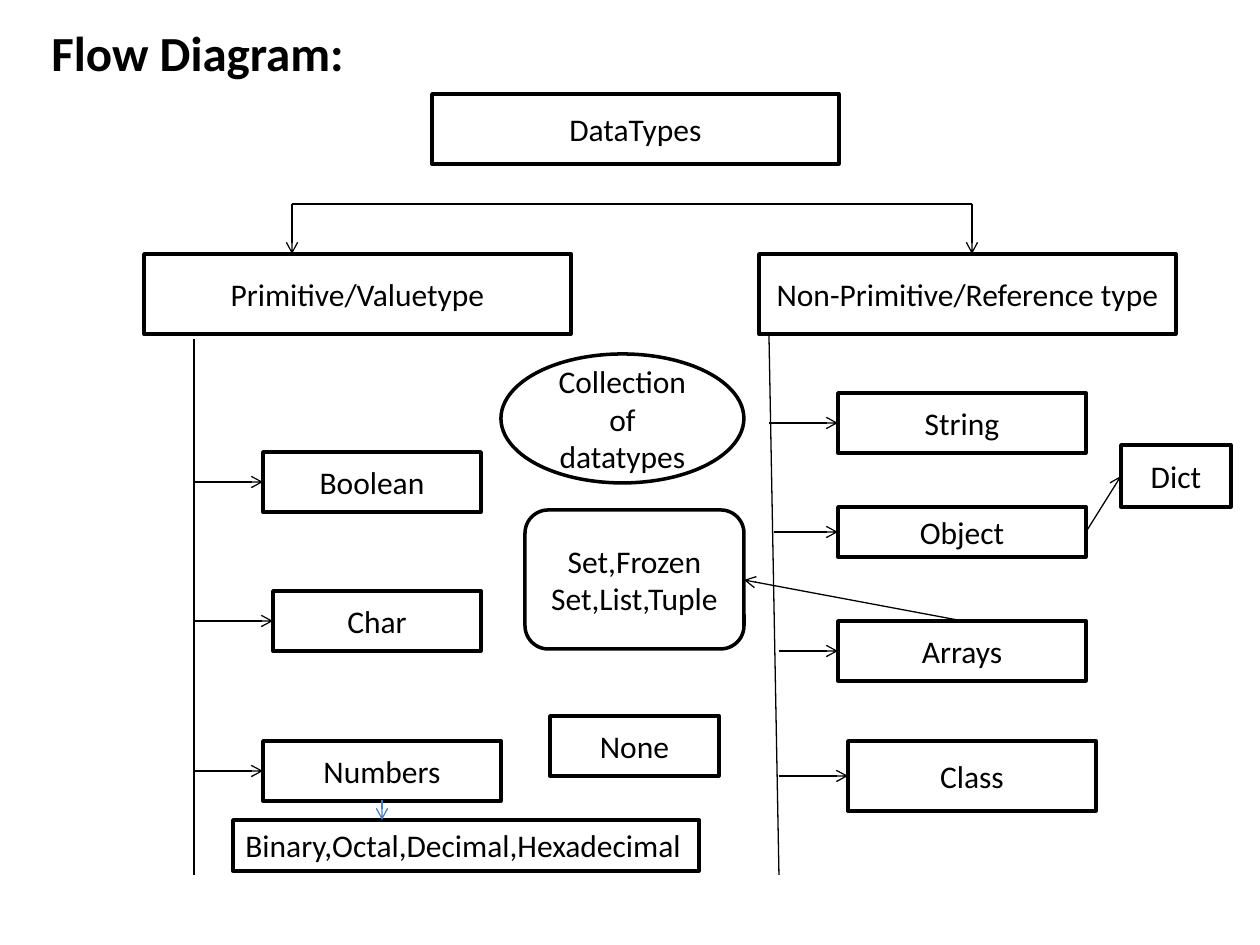
from lxml.etree import SubElement
from pptx import Presentation
from pptx.dml.color import RGBColor
from pptx.enum.shapes import MSO_CONNECTOR as Connector, MSO_SHAPE as Shape
from pptx.enum.text import MSO_ANCHOR as Anchor, PP_ALIGN as Align
from pptx.oxml.ns import qn
from pptx.util import Emu, Pt

SCALE = 914400 // 126
FONT = "Calibri"
COLORS = {"ink": "000000", "paper": "FFFFFF", "accent": "4B7EBC"}


def px(length):
    """Turn pixels into EMU."""
    return Emu(round(length * SCALE))


def color(name):
    """Look up a named colour."""
    return RGBColor.from_string(COLORS[name])


def add_run(paragraph, text, size, bold=False):
    """Add one run of text."""
    run = paragraph.add_run()
    run.text = text
    run.font.name, run.font.size, run.font.bold = FONT, Pt(size), bold
    run.font.color.rgb = color("ink")


def add_node(slide, text, box, kind=Shape.RECTANGLE, align=Align.CENTER, anchor=Anchor.MIDDLE):
    """Draw an outlined, labelled node."""
    shape = slide.shapes.add_shape(kind, *map(px, box))
    shape.shadow.inherit = False
    shape.fill.solid()
    shape.fill.fore_color.rgb = color("paper")
    shape.line.color.rgb = color("ink")
    shape.line.width = Pt(2)
    frame = shape.text_frame
    frame.word_wrap = True
    frame.vertical_anchor = anchor
    paragraph = frame.paragraphs[0]
    paragraph.alignment = align
    add_run(paragraph, text, 18)


def add_line(slide, start, end, arrow=True, ink="ink"):
    """Draw a thin line, with an open arrowhead at its end if wanted."""
    line = slide.shapes.add_connector(Connector.STRAIGHT, *map(px, (*start, *end)))
    line.line.color.rgb = color(ink)
    line.line.width = Pt(0.75)
    if arrow:
        SubElement(line.line._get_or_add_ln(), qn("a:tailEnd"), type="arrow")
    SubElement(line._element.spPr, qn("a:effectLst"))


def add_title(slide, box, text):
    """Write the slide title."""
    frame = slide.shapes.add_textbox(*map(px, box)).text_frame
    frame.word_wrap = True
    paragraph = frame.paragraphs[0]
    paragraph.space_before = Pt(5.6)
    add_run(paragraph, text, 28, True)


def add_root(slide, box):
    """Draw the root node and the fork to both branches."""
    left, top, width, height = box
    add_node(slide, "DataTypes", (left + 140, top, 407, 70))
    fork, bottom, right = top + 110, top + height, left + width
    add_line(slide, (left, fork), (right, fork), False)
    for x in (left, right):
        add_line(slide, (x, fork), (x, bottom))


def add_branch(slide, box, heading, trunk, children):
    """Draw a heading, its trunk and the children with their arrows."""
    left, top, width, height = box
    add_node(slide, heading, box)
    start_x, start_y, end_x, end_y = trunk
    add_line(slide, (left + start_x, top + start_y), (left + end_x, top + end_y), False)
    for text, stem, x, y, child_width, child_height in children:
        add_node(slide, text, (left + x, top + y, child_width, child_height))
        middle = top + y + child_height / 2
        add_line(slide, (left + stem, middle), (left + x, middle))


def add_number_forms(slide, box):
    """Draw the number notations below the numbers node."""
    left, top, width, height = box
    add_node(slide, "Binary,Octal,Decimal,Hexadecimal", box, align=Align.LEFT, anchor=Anchor.TOP)
    add_line(slide, (left + 149, top - 20), (left + 149, top), ink="accent")


def add_collections(slide, box):
    """Draw the collection nodes and the arrow from arrays."""
    left, top, width, height = box
    add_node(slide, "Collection of datatypes", (left, top, width, 129), Shape.OVAL)
    add_node(slide, "Set,Frozen Set,List,Tuple", (left + 24, top + 156, width - 24, 139),
             Shape.ROUNDED_RECTANGLE)
    add_node(slide, "None", (left + 49, top + height - 60, 169, 60))
    add_line(slide, (left + 462, top + 267), (left + width, top + 226))


def add_dict(slide, box):
    """Draw the dict node and the arrow from object."""
    left, top, width, height = box
    add_node(slide, "Dict", box)
    add_line(slide, (left - 35, top + 87), (left, top + height / 2))


presentation = Presentation()
presentation.slide_width, presentation.slide_height = px(1260), px(945)
slide = presentation.slides.add_slide(presentation.slide_layouts[6])
add_title(slide, (39, 16, 1221, 929), "Flow Diagram:")
add_root(slide, (292, 94, 680, 160))
add_branch(slide, (144, 254, 427, 80), "Primitive/Valuetype", (50, 85, 50, 621), [
    ("Boolean", 50, 119, 198, 218, 60),
    ("Char", 50, 129, 337, 208, 60),
    ("Numbers", 50, 119, 487, 238, 60),
])
add_branch(slide, (759, 254, 417, 80), "Non-Primitive/Reference type", (10, 80, 20, 621), [
    ("String", 10, 79, 139, 248, 60),
    ("Object", 15, 79, 253, 248, 50),
    ("Arrays", 20, 79, 367, 248, 60),
    ("Class", 20, 89, 487, 248, 70),
])
add_collections(slide, (501, 354, 243, 422))
add_dict(slide, (1121, 445, 110, 62))
add_number_forms(slide, (233, 820, 466, 51))
presentation.save("out.pptx")
